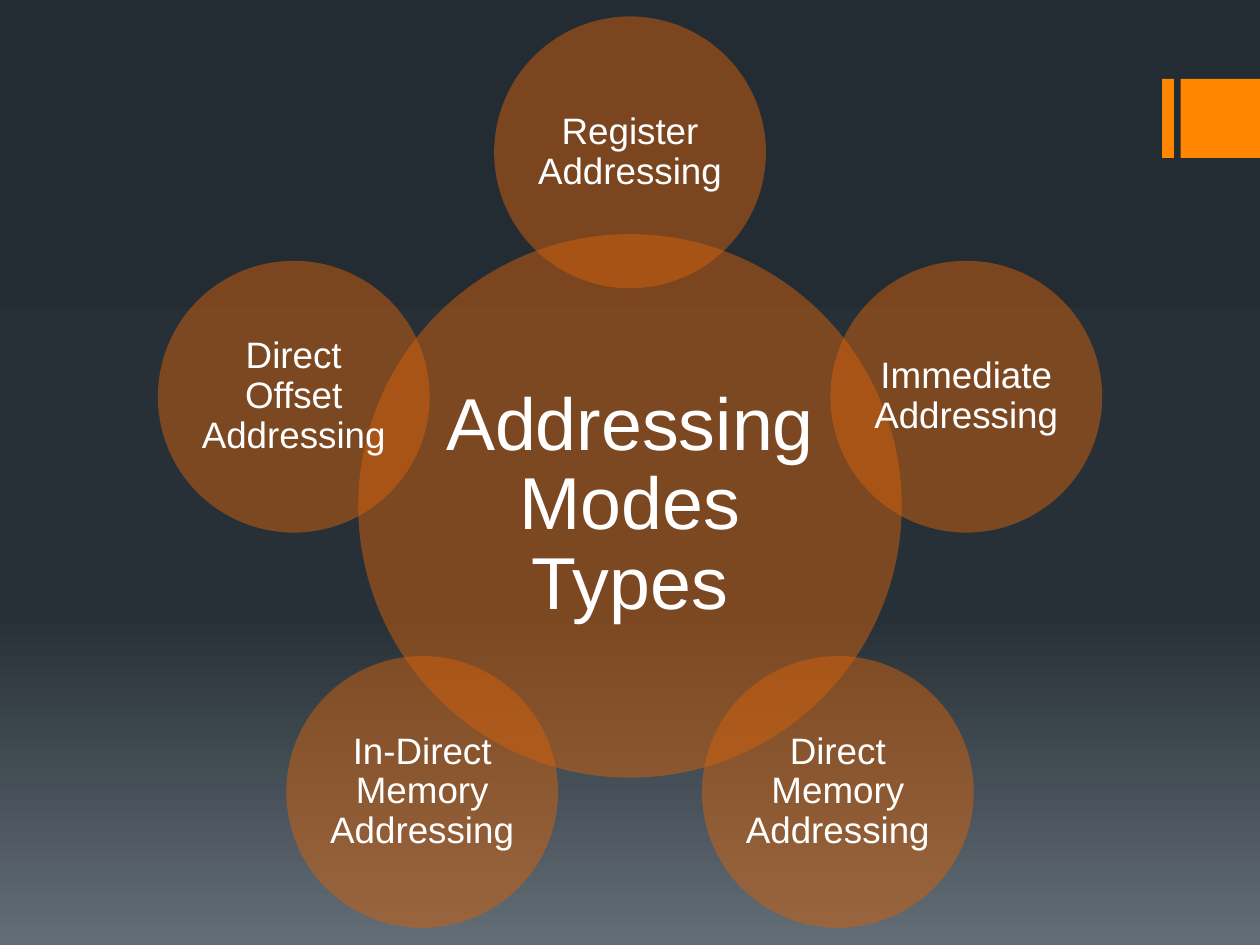
from copy import deepcopy
from math import cos, pi, sin

from lxml import etree
from pptx import Presentation
from pptx.dml.color import RGBColor
from pptx.enum.shapes import MSO_SHAPE
from pptx.enum.text import MSO_ANCHOR, PP_ALIGN
from pptx.oxml.ns import qn
from pptx.util import Pt

RECT, OVAL = MSO_SHAPE.RECTANGLE, MSO_SHAPE.OVAL
MIDDLE, CENTER = MSO_ANCHOR.MIDDLE, PP_ALIGN.CENTER

ACCENT = RGBColor(0xFF, 0x86, 0x00)
RUST = RGBColor(0xD2, 0x61, 0x0C)
WHITE = RGBColor(0xFF, 0xFF, 0xFF)
SKY = [
    (0, RGBColor(0x24, 0x2C, 0x33)),
    (0.65, RGBColor(0x27, 0x30, 0x37)),
    (1, RGBColor(0x63, 0x6D, 0x76)),
]
FONT = "Arial"

MODES = [
    "Register Addressing",
    "Immediate Addressing",
    "Direct Memory Addressing",
    "In-Direct Memory Addressing",
    "Direct Offset Addressing",
]


def paint_background(s):
    fill = s.background.fill
    fill.gradient()
    fill.gradient_angle = 270  # top to bottom
    stops = s.element.find(".//" + qn("a:gsLst"))
    stops.append(deepcopy(stops[-1]))
    for stop, (position, color) in zip(fill.gradient_stops, SKY):
        stop.position = position
        stop.color.rgb = color


def add_filled(s, kind, left, top, width, height, color):
    sp = s.shapes.add_shape(kind, Pt(left), Pt(top), Pt(width), Pt(height))
    sp.shadow.inherit = False
    sp.fill.solid()
    sp.fill.fore_color.rgb = color
    sp.line.fill.background()
    return sp


def add_corner_tab(s, left, top, width, height):
    bar, gap = 6.7, 3.9
    add_filled(s, RECT, left, top, bar, height, ACCENT)
    block = left + bar + gap
    add_filled(s, RECT, block, top, left + width - block, height, ACCENT)


def add_circle(s, cx, cy, diameter, text, size, inset):
    sp = add_filled(s, OVAL, cx - diameter / 2, cy - diameter / 2,
                    diameter, diameter, RUST)
    # Half transparent
    color = sp.fill._xPr.find(".//" + qn("a:srgbClr"))
    etree.SubElement(color, qn("a:alpha"), val="50000")

    tf = sp.text_frame
    tf.word_wrap = True
    tf.vertical_anchor = MIDDLE
    tf.margin_left = tf.margin_right = Pt(inset)
    tf.margin_top = tf.margin_bottom = Pt(inset)
    p = tf.paragraphs[0]
    p.text = text
    p.alignment = CENTER
    p.line_spacing = 0.9
    p.font.name = FONT
    p.font.size = Pt(size)
    p.font.color.rgb = WHITE


def add_radial_diagram(s, left, top, width, height):
    # The hub is twice a satellite; satellites sit evenly on an orbit
    satellite = 155.3
    orbit = (width - satellite) / (2 * sin(2 * pi / 5))
    cx, cy = left + width / 2, top + satellite / 2 + orbit
    add_circle(s, cx, cy, 2 * satellite, "Addressing Modes Types", 42, 4)
    for i, mode in enumerate(MODES):
        angle = 2 * pi * i / len(MODES)
        add_circle(s, cx + orbit * sin(angle), cy - orbit * cos(angle),
                   satellite, mode, 21, 2)


def main():
    prs = Presentation()
    prs.slide_width, prs.slide_height = Pt(720), Pt(540)
    s = prs.slides.add_slide(prs.slide_layouts[6])
    paint_background(s)
    add_corner_tab(s, 664.1, 45.1, 55.9, 45.1)
    add_radial_diagram(s, 90.2, 9.4, 539.6, 521)
    prs.save("out.pptx")


if __name__ == "__main__":
    main()
